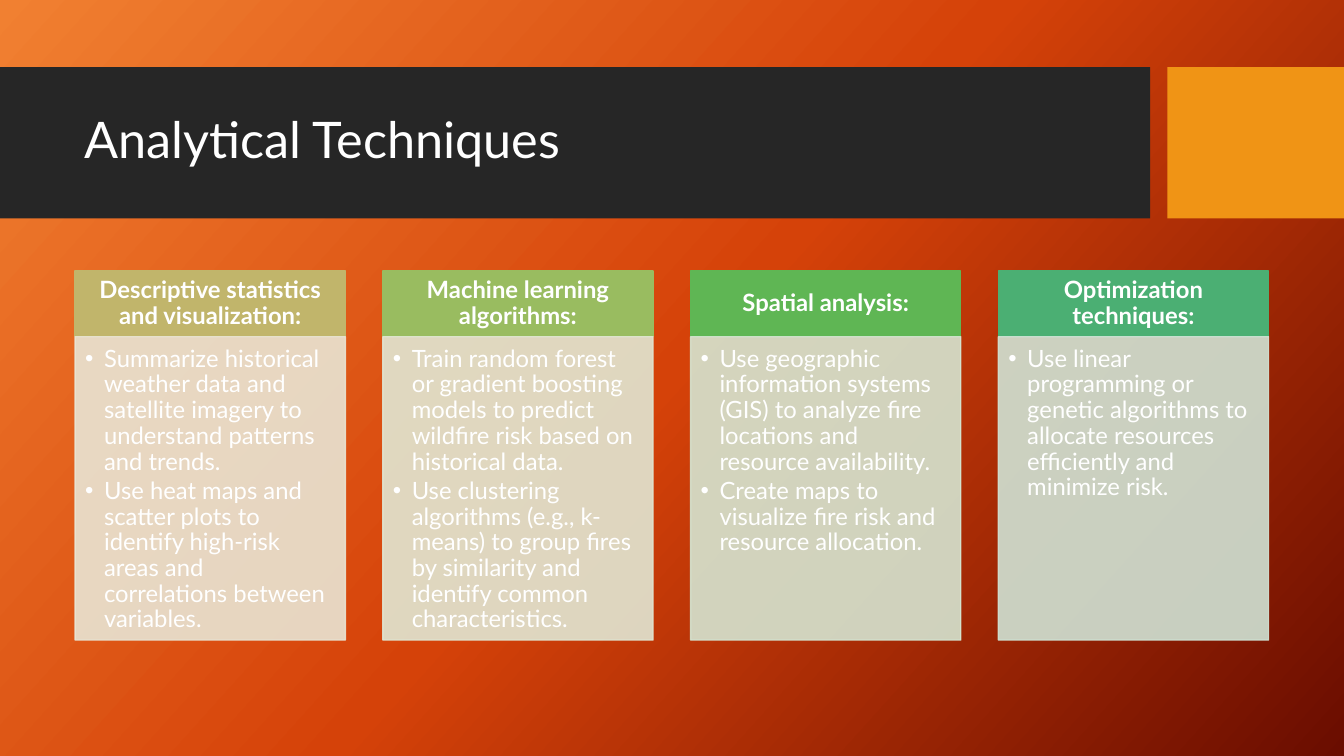
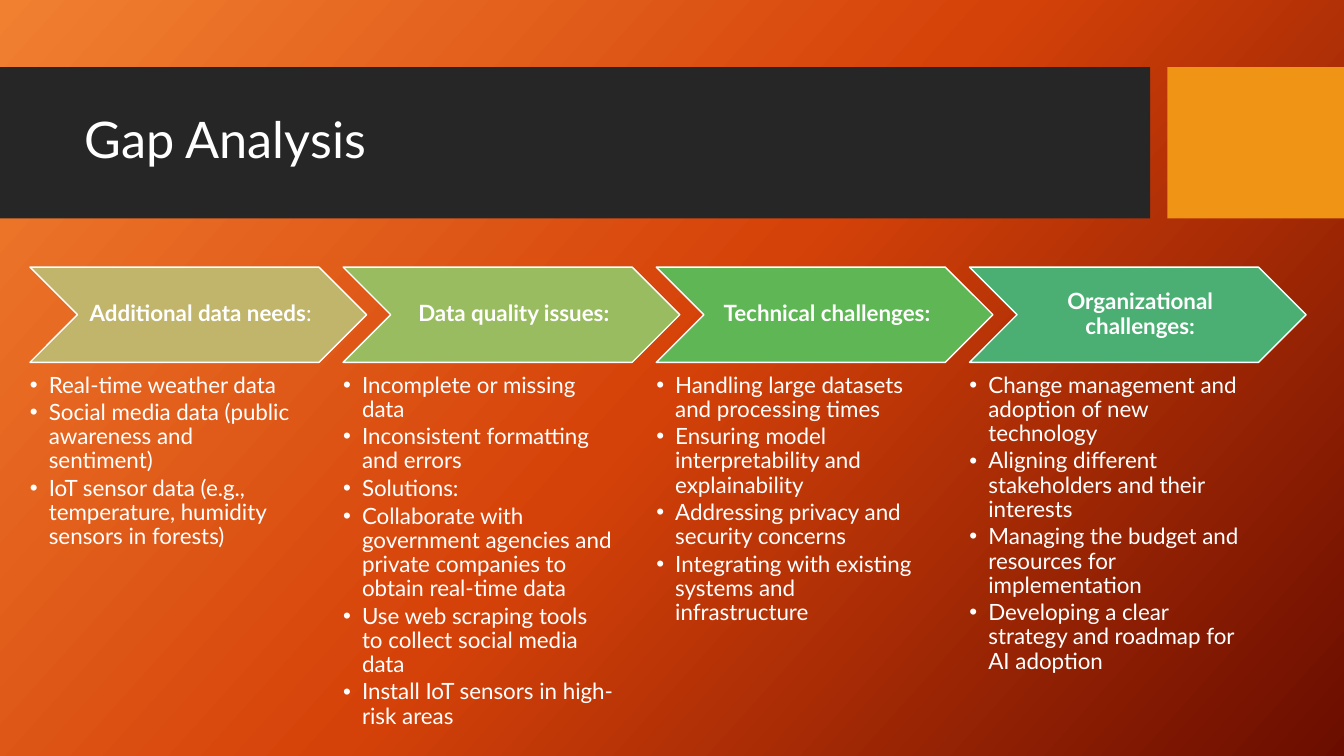
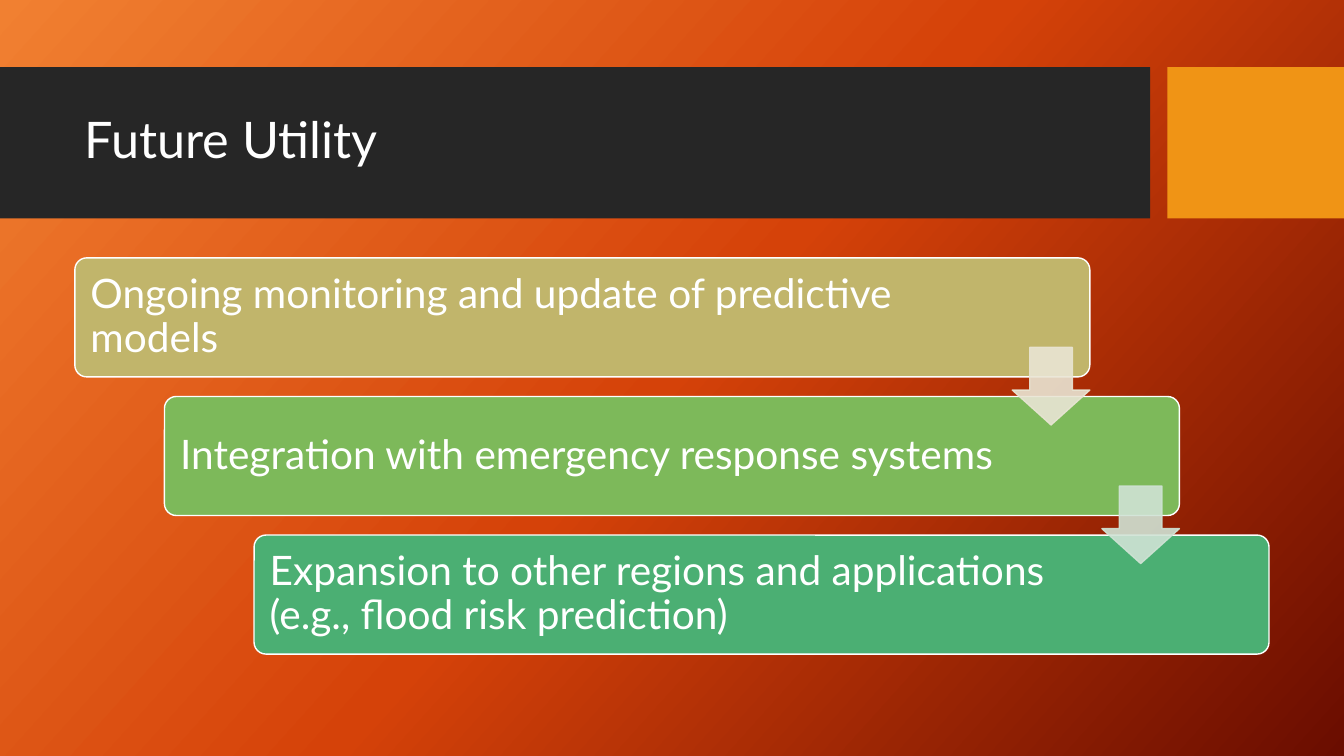
from copy import deepcopy

from lxml import etree
from pptx import Presentation
from pptx.dml.color import RGBColor
from pptx.enum import shapes, text
from pptx.oxml.ns import qn
from pptx.util import Pt

# Palette
WHITE = RGBColor(0xFF, 0xFF, 0xFF)
CHARCOAL = RGBColor(0x26, 0x26, 0x26)
AMBER = RGBColor(0xF0, 0x94, 0x15)
SAND = RGBColor(0xC1, 0xB5, 0x6B)
OLIVE = RGBColor(0x99, 0xBC, 0x60)
LIME = RGBColor(0x7D, 0xB9, 0x5A)
GREEN = RGBColor(0x5F, 0xB6, 0x54)
TEAL = RGBColor(0x4B, 0xAF, 0x73)
PALE_SAND = RGBColor(0xE9, 0xE5, 0xD4)
PALE_OLIVE = RGBColor(0xE1, 0xE7, 0xD3)
PALE_GREEN = RGBColor(0xD5, 0xE5, 0xD1)
PALE_TEAL = RGBColor(0xD0, 0xE3, 0xD5)
BACKDROP = [(0, RGBColor(0xF1, 0x80, 0x31)),
            (0.5, RGBColor(0xD5, 0x42, 0x09)),
            (1, RGBColor(0x6A, 0x0D, 0x00))]

FONT = "Lato"
SHAPE = shapes.MSO_SHAPE
ANCHOR = text.MSO_ANCHOR
CENTER = text.PP_ALIGN.CENTER


class Deck:
    """Shared style plus the slide being drawn."""

    def __init__(self):
        self.prs = Presentation()
        self.prs.slide_width, self.prs.slide_height = Pt(960), Pt(540)
        self.slide = None

    def new_slide(self, title):
        self.slide = self.prs.slides.add_slide(self.prs.slide_layouts[6])
        self.backdrop()
        self.shape(SHAPE.RECTANGLE, 0, 48, 821.5, 108, CHARCOAL)
        self.shape(SHAPE.RECTANGLE, 833.8, 48, 126.2, 108, AMBER)
        box = self.text_box(53.3, 59, 757, 85)
        self.add_text(box, [[title]], 36, insets=(7.2, 3.6, 7.2, 3.6), anchor=ANCHOR.MIDDLE)

    def backdrop(self):
        fill = self.slide.background.fill
        fill.gradient()
        fill.gradient_angle = 318
        stops = next(self.slide.element.iter(qn("a:gsLst")))
        stops.append(deepcopy(stops[0]))
        for stop, (position, color) in zip(fill.gradient_stops, BACKDROP):
            stop.position = position
            stop.color.rgb = color

    def shape(self, kind, x, y, w, h, fill, line=None, alpha=None, adjust=()):
        sp = self.slide.shapes.add_shape(kind, Pt(x), Pt(y), Pt(w), Pt(h))
        sp.shadow.inherit = False
        sp.fill.solid()
        sp.fill.fore_color.rgb = fill
        if line is None:
            sp.line.fill.background()
        else:
            sp.line.color.rgb = line
            sp.line.width = Pt(1)
        for i, value in enumerate(adjust):
            sp.adjustments[i] = value
        if alpha is not None:
            for color in sp.element.spPr.iter(qn("a:srgbClr")):
                etree.SubElement(color, qn("a:alpha"), val=str(alpha * 1000))
        return sp

    def text_box(self, x, y, w, h):
        return self.slide.shapes.add_textbox(Pt(x), Pt(y), Pt(w), Pt(h))

    def add_text(self, sp, paragraphs, size, bold=False, align=text.PP_ALIGN.LEFT,
                 anchor=ANCHOR.TOP, insets=(0, 0, 0, 0), bullets=False):
        """Each paragraph is a list of runs; a (text, bold) run overrides the weight."""
        tf = sp.text_frame
        tf.word_wrap = True
        tf.vertical_anchor = anchor
        tf.margin_left, tf.margin_top, tf.margin_right, tf.margin_bottom = map(Pt, insets)
        for i, runs in enumerate(paragraphs):
            p = tf.add_paragraph() if i else tf.paragraphs[0]
            p.alignment = align
            p.line_spacing = 0.9
            if bullets:
                p.space_after = Pt(round(0.15 * size, 2))
                self.bullet(p)
            for run in runs:
                words, weight = (run, bold) if isinstance(run, str) else run
                r = p.add_run()
                r.text = words
                r.font.name, r.font.size, r.font.bold = FONT, Pt(size), weight
                r.font.color.rgb = WHITE

    def bullet(self, p):
        pPr = p._p.get_or_add_pPr()
        pPr.set("marL", str(Pt(13.5)))
        pPr.set("indent", str(-Pt(13.5)))
        etree.SubElement(pPr, qn("a:buFont"), typeface="Arial")
        etree.SubElement(pPr, qn("a:buChar"), char="•")

    def bullet_list(self, sp, items, size, insets=(0, 0, 0, 0)):
        self.add_text(sp, [[item] for item in items], size, insets=insets, bullets=True)

    def card(self, x, heading, items, color, tint):
        head = self.shape(SHAPE.RECTANGLE, x, 193.7, 193, 46.8, color, color)
        self.add_text(head, [[heading]], 17, True, CENTER, ANCHOR.MIDDLE,
                      (9.5, 5.44, 9.5, 5.44))
        body = self.shape(SHAPE.RECTANGLE, x, 240.5, 193, 216.7, tint, tint, 90)
        self.bullet_list(body, items, 17, (7.14, 7.14, 9.5, 10.7))

    def chevron_column(self, x, heading, items, color):
        chevron = self.shape(SHAPE.CHEVRON, x, 190.8, 240.5, 68, color, WHITE)
        self.add_text(chevron, [heading], 16, True, CENTER, ANCHOR.MIDDLE,
                      (5, 1.5, 1.5, 1.5))
        self.bullet_list(self.text_box(x, 267, 193, 249), items, 16)

    def step(self, x, y, w, h, words, color):
        sp = self.shape(SHAPE.ROUNDED_RECTANGLE, x, y, w, h, color, WHITE, adjust=[0.1])
        self.add_text(sp, [[words]], 29, anchor=ANCHOR.MIDDLE, insets=(8.7, 8.7, 128, 8.7))

    def down_arrow(self, x, y, size, tint):
        self.shape(SHAPE.DOWN_ARROW, x, y, size, size, tint, tint, 90, [0.55, 0.45])


def analytical_techniques(deck):
    deck.new_slide("Analytical Techniques")
    cards = [
        ("Descriptive statistics and visualization:", [
            "Summarize historical weather data and satellite imagery to understand "
            "patterns and trends.",
            "Use heat maps and scatter plots to identify high-risk areas and "
            "correlations between variables."], SAND, PALE_SAND),
        ("Machine learning algorithms:", [
            "Train random forest or gradient boosting models to predict wildfire risk "
            "based on historical data.",
            "Use clustering algorithms (e.g., k-means) to group fires by similarity "
            "and identify common characteristics."], OLIVE, PALE_OLIVE),
        ("Spatial analysis:", [
            "Use geographic information systems (GIS) to analyze fire locations and "
            "resource availability.",
            "Create maps to visualize fire risk and resource allocation."],
         GREEN, PALE_GREEN),
        ("Optimization techniques:", [
            "Use linear programming or genetic algorithms to allocate resources "
            "efficiently and minimize risk."], TEAL, PALE_TEAL),
    ]
    for i, card in enumerate(cards):
        deck.card(53.7 + i * 219.8, *card)


def gap_analysis(deck):
    deck.new_slide("Gap Analysis")
    columns = [
        (["Additional data needs", (":", False)], [
            "Real-time weather data",
            "Social media data (public awareness and sentiment)",
            "IoT sensor data (e.g., temperature, humidity sensors in forests)"], SAND),
        (["Data quality issues:"], [
            "Incomplete or missing data",
            "Inconsistent formatting and errors",
            "Solutions:",
            "Collaborate with government agencies and private companies to obtain "
            "real-time data",
            "Use web scraping tools to collect social media data",
            "Install IoT sensors in high-risk areas"], OLIVE),
        (["Technical challenges:"], [
            "Handling large datasets and processing times",
            "Ensuring model interpretability and explainability",
            "Addressing privacy and security concerns",
            "Integrating with existing systems and infrastructure"], GREEN),
        (["Organizational challenges:"], [
            "Change management and adoption of new technology",
            "Aligning different stakeholders and their interests",
            "Managing the budget and resources for implementation",
            "Developing a clear strategy and roadmap for AI adoption"], TEAL),
    ]
    for i, column in enumerate(columns):
        deck.chevron_column(21.4 + i * 223.7, *column)


def future_utility(deck):
    deck.new_slide("Future Utility")
    left, top, width, height, arrow = 53.5, 184.2, 725, 85, 55.4
    step_x, step_y = 64, 99
    steps = [
        ("Ongoing monitoring and update of predictive models", SAND),
        ("Integration with emergency response systems", LIME),
        ("Expansion to other regions and applications (e.g., flood risk prediction)", TEAL),
    ]
    for i, (words, color) in enumerate(steps):
        deck.step(left + i * step_x, top + i * step_y, width, height, words, color)
    # Arrows sit at the right end of each step but the last
    for i, tint in enumerate([PALE_SAND, PALE_TEAL]):
        deck.down_arrow(left + i * step_x + width - arrow, top + i * step_y + 64, arrow, tint)


def main():
    deck = Deck()
    analytical_techniques(deck)
    gap_analysis(deck)
    future_utility(deck)
    deck.prs.save("out.pptx")


if __name__ == "__main__":
    main()
